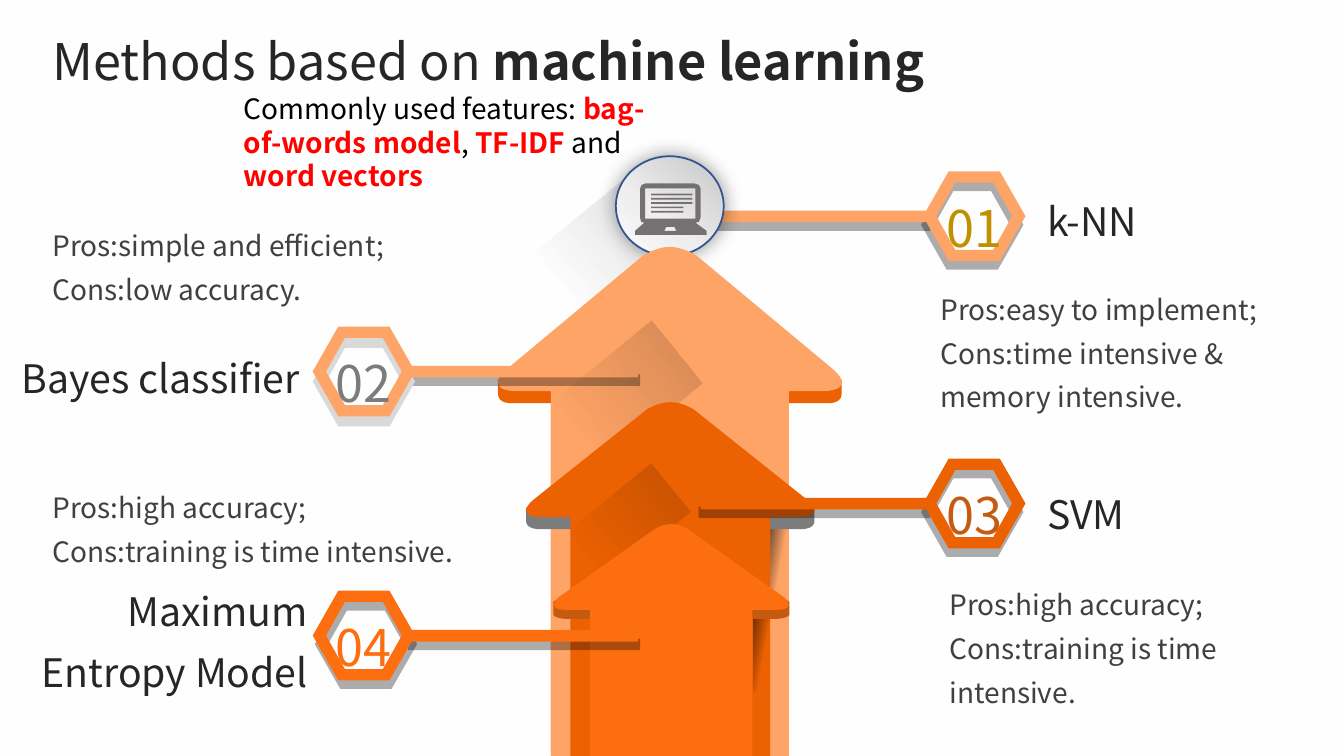
from lxml.etree import SubElement
from pptx import Presentation
from pptx.dml.color import RGBColor
from pptx.enum.shapes import MSO_SHAPE
from pptx.enum.text import MSO_ANCHOR, MSO_AUTO_SIZE, PP_ALIGN
from pptx.oxml import parse_xml
from pptx.oxml.ns import nsdecls, qn
from pptx.util import Emu, Inches, Pt

GRID = Inches(0.1)
COLS, ROWS = 133.33, 75
FONT = "Noto Sans CJK SC"
HEX = {
    "paper": "FEFEFE", "black": "000000", "ink": "262626", "grey": "404040",
    "peach": "FEA466", "rust": "EC6102", "flame": "FD6E11", "brown": "C55A11",
    "gold": "BF9000", "steel": "7C7C7C", "pale": "D9D9D9", "red": "FF0200",
    "navy": "325491", "icon": "767171", "dim": "C6C6C6", "mist": "EEEEEE",
    "light": "FDFDFD",
}


def cell(num):
    """Turn grid cells into a length."""
    return Emu(round(num * GRID))


def tint(name):
    """Look up a colour by name."""
    return RGBColor.from_string(HEX[name])


def paint(shape, name, alpha=100):
    """Fill a shape flat, with no line or shadow."""
    shape.shadow.inherit = False
    shape.line.fill.background()
    shape.fill.solid()
    shape.fill.fore_color.rgb = tint(name)
    if alpha < 100:
        mark = shape._element.spPr.find(qn("a:solidFill"))[0]
        SubElement(mark, qn("a:alpha"), val=str(alpha * 1000))


def fade(shape, stops, angle):
    """Fill a shape with a linear gradient of (place, colour, alpha) stops."""
    shape.shadow.inherit = False
    shape.line.fill.background()
    shape.fill.background()
    marks = "".join(
        f'<a:gs pos="{place * 1000}"><a:srgbClr val="{HEX[name]}">'
        f'<a:alpha val="{alpha * 1000}"/></a:srgbClr></a:gs>'
        for place, name, alpha in stops)
    grad = parse_xml(
        f'<a:gradFill {nsdecls("a")} rotWithShape="1"><a:gsLst>{marks}</a:gsLst>'
        f'<a:lin ang="{angle * 60000}" scaled="0"/></a:gradFill>')
    props = shape._element.spPr
    props.replace(props.find(qn("a:noFill")), grad)


def block(slide, box, kind=MSO_SHAPE.RECTANGLE):
    """Add a preset shape in a grid box."""
    return slide.shapes.add_shape(kind, *map(cell, box))


def trace(slide, loops, name, alpha=100):
    """Draw closed loops of grid points as one shape."""
    loops = [[(cell(x), cell(y)) for x, y in loop] for loop in loops]
    pen = slide.shapes.build_freeform(*loops[0][0])
    for turn, loop in enumerate(loops):
        if turn:
            pen.move_to(*loop[0])
        pen.add_line_segments(loop[1:], close=True)
    paint(pen.convert_to_shape(), name, alpha)


def curve(a, b, c, d, count=10):
    """List points along a cubic curve."""
    steps = [n / count for n in range(count + 1)]
    return [tuple((1 - t) ** 3 * p + 3 * t * (1 - t) ** 2 * q
                  + 3 * t * t * (1 - t) * r + t ** 3 * s
                  for p, q, r, s in zip(a, b, c, d)) for t in steps]


def tip(top, neck, drop):
    """List the right half of a round arrow tip."""
    return curve((0, top), (0.37 * neck, top),
                 (0.74 * neck, top + drop / 2), (neck, top + drop))


def mirror(slide, mid, half, name):
    """Draw a shape from its right half."""
    left = [(mid - x, y) for x, y in reversed(half)]
    trace(slide, [[(mid + x, y) for x, y in half] + left], name)


def arrow(slide, mid, face, edge, stem):
    """Draw an arrow face over its thick edge."""
    name, top, neck, drop, wing, brow, base = face
    under, peak, reach, lip, foot, end = edge
    half = tip(peak, neck, drop) + [(reach, lip)] + curve(
        (reach, lip + 1.3), (reach, foot - 0.3), (reach - 0.5, foot), (reach - 1.4, foot))
    mirror(slide, mid, half + [(stem, foot), (stem, end)], under)
    fall = base - brow
    half = tip(top, neck, drop) + curve(
        (wing, brow), (wing + 0.68 * fall, brow + 0.57 * fall),
        (wing + 0.5 * fall, base), (wing - 0.42 * fall, base))
    mirror(slide, mid, half + [(stem, base), (stem, ROWS)], name)


def shade(slide, box):
    """Cast a long slanted shadow."""
    beam = block(slide, box)
    beam.rotation = 50.8
    fade(beam, [(0, "black", 17), (66, "black", 0)], 90)


def crease(slide, box):
    """Shade the side of a stem."""
    fade(block(slide, box), [(0, "black", 52), (44, "black", 0)], 10)


def hexa(x, y, wide, high):
    """List the corners of a hexagon about a centre."""
    return [(x - wide, y), (x - wide / 2, y - high), (x + wide / 2, y - high),
            (x + wide, y), (x + wide / 2, y + high), (x - wide / 2, y + high)]


def ring(slide, x, y, name, alpha=100):
    """Draw a hexagon ring."""
    trace(slide, [hexa(x, y, 5.08, 4.45), hexa(x, y, 3.76, 3.33)], name, alpha)


def write(frame, paras, size, name="ink", align=PP_ALIGN.LEFT, gap=1.3, wrap=True):
    """Write paragraphs of (text, colour, bold) runs."""
    frame.word_wrap = wrap
    frame.auto_size = MSO_AUTO_SIZE.SHAPE_TO_FIT_TEXT
    frame.vertical_anchor = MSO_ANCHOR.TOP
    for turn, runs in enumerate(paras):
        para = frame.add_paragraph() if turn else frame.paragraphs[0]
        props = para._p.get_or_add_pPr()
        props.set("marL", "0")
        props.set("indent", "0")
        SubElement(props, qn("a:buNone"))
        para.alignment, para.line_spacing = align, gap
        para.space_before = Pt(0)
        for text, hue, bold in runs:
            run = para.add_run()
            run.text = text
            run.font.name, run.font.size, run.font.bold = FONT, Pt(size), bold
            run.font.color.rgb = tint(hue or name)


def label(slide, box, runs, size, **style):
    """Add a text box with one paragraph."""
    write(slide.shapes.add_textbox(*map(cell, box)).text_frame, [runs], size, **style)


def place(holder, box):
    """Move a placeholder to a grid box."""
    holder.left, holder.top, holder.width, holder.height = map(cell, box)


def method(slide, num, side, y, hue, ink, name, spot, notes, box):
    """Draw a numbered callout with its name, pros and cons."""
    x, bar = (96.65, 69.5) if side > 0 else (36.1, 40.3)
    paint(block(slide, (bar - 0.2 * side, y + 0.3, 23, 1.15)), "black", 32)
    if num == 2:
        ring(slide, x, y + 1, "pale")
    else:
        ring(slide, x - 0.2 * side, y + 0.85, "black", 32)
    paint(block(slide, (bar, y - 0.55, 23, 1.15)), hue)
    ring(slide, x, y, hue)
    label(slide, (x - 3.95, y - 4.2, 7.9, 8.1), [(f"{num:02}", ink, False)], 36,
          align=PP_ALIGN.CENTER, wrap=False)
    label(slide, spot, [(name, None, False)], 28,
          align=PP_ALIGN.LEFT if side > 0 else PP_ALIGN.RIGHT)
    body = slide.placeholders[num]
    place(body, box)
    write(body.text_frame, [[(note, None, False)] for note in notes], 20, "grey")


def laptop(slide):
    """Draw a laptop on a round badge."""
    badge = block(slide, (61.1, 15.5, 10.7, 9.9), MSO_SHAPE.OVAL)
    fade(badge, [(0, "dim", 100), (61, "mist", 100), (100, "light", 100)], 130)
    badge.line.color.rgb = tint("navy")
    badge.line.width = Pt(1.25)
    glow = SubElement(badge._element.spPr.find(qn("a:effectLst")), qn("a:outerShdw"),
                      blurRad=str(Pt(14)), dist="0", dir=str(130 * 60000))
    hue = SubElement(glow, qn("a:srgbClr"), val=HEX["black"])
    SubElement(hue, qn("a:alpha"), val="40000")

    def pane(x, y, wide, high):
        return [(x, y), (x + wide, y), (x + wide, y + high), (x, y + high)]

    case = [(64, 18.2), (68.9, 18.2), (69.35, 18.35), (69.5, 18.7), (69.5, 21.6),
            (69.35, 22), (69, 22.1), (70.1, 22.9), (70.1, 23.3), (63, 23.3),
            (63, 22.9), (63.9, 22.1), (63.6, 22), (63.5, 21.6), (63.5, 18.7), (63.65, 18.35)]
    pad = [(66.1, 22.5), (66.9, 22.5), (67.1, 22.9), (65.9, 22.9)]
    lines = [pane(64.6, 19.2 + 0.43 * row, 4.1 if row < 3 else 3.2, 0.17) for row in range(5)]
    trace(slide, [case, pane(64, 18.7, 5, 3), pad, *lines], "icon")


def main():
    """Build the slide."""
    deck = Presentation()
    deck.slide_width, deck.slide_height = cell(COLS), cell(ROWS)
    slide = deck.slides.add_slide(deck.slide_layouts[4])
    slide.background.fill.solid()
    slide.background.fill.fore_color.rgb = tint("paper")
    place(slide.shapes.title, (4.2, 0.7, 105.2, 8.8))
    write(slide.shapes.title.text_frame,
          [[("Methods based on", None, False), (" machine learning", None, True)]], 36)

    strong = "Pros:high accuracy;", "Cons:training is time intensive."
    method(slide, 1, 1, 21.45, "peach", "gold", "k-NN", (102.9, 17.7, 16.7, 7.1),
           ("Pros:easy to implement;", "Cons:time intensive & memory intensive."),
           (92.3, 27.5, 34.8, 14))
    shade(slide, (54.7, 16.5, 9.1, 18.6))
    laptop(slide)
    arrow(slide, 66.45, ("peach", 24.5, 2.7, 0.9, 16.15, 36.6, 38.8),
          ("rust", 25.6, 17.05, 37.7, 40, 74.7), 11.8)
    method(slide, 2, -1, 36.85, "peach", "steel", "Bayes classifier", (0, 33.3, 30.7, 7.1),
           ("Pros:simple and efficient;", "Cons:low accuracy."), (4.2, 21.2, 36.2, 9.7))
    shade(slide, (56.5, 31.8, 8, 17.1))
    arrow(slide, 66.5, ("rust", 39.9, 2.3, 0.7, 13.6, 49.6, 51.3),
          ("steel", 40.8, 14.3, 50.4, 52.5, 52.5), 9.9)
    crease(slide, (76.4, 52.5, 2.4, 7.7))
    method(slide, 3, 1, 49.95, "rust", "brown", "SVM", (102.9, 46.8, 16.7, 7.1),
           strong, (93.2, 56.8, 31.6, 14))
    shade(slide, (57.6, 45.6, 6.2, 15))
    arrow(slide, 66.6, ("flame", 52, 1.8, 0.6, 11.1, 59.2, 60.5),
          ("brown", 52.5, 11.7, 59.7, 61.4, 61.4), 8.05)
    crease(slide, (74.8, 61.5, 2.4, 7.1))
    method(slide, 4, -1, 63.05, "flame", "flame", "Maximum Entropy Model",
           (0, 56.4, 31.5, 13.1), strong, (4.2, 47.2, 43.3, 9.7))
    label(slide, (23.2, 8.6, 42.5, 11), [
        ("Commonly used features: ", None, False), ("bag-of-words model", "red", True),
        (", ", None, False), ("TF-IDF", "red", True), (" and ", None, False),
        ("word vectors", "red", True)], 20, name="black", gap=1)
    deck.save("out.pptx")


if __name__ == "__main__":
    main()
